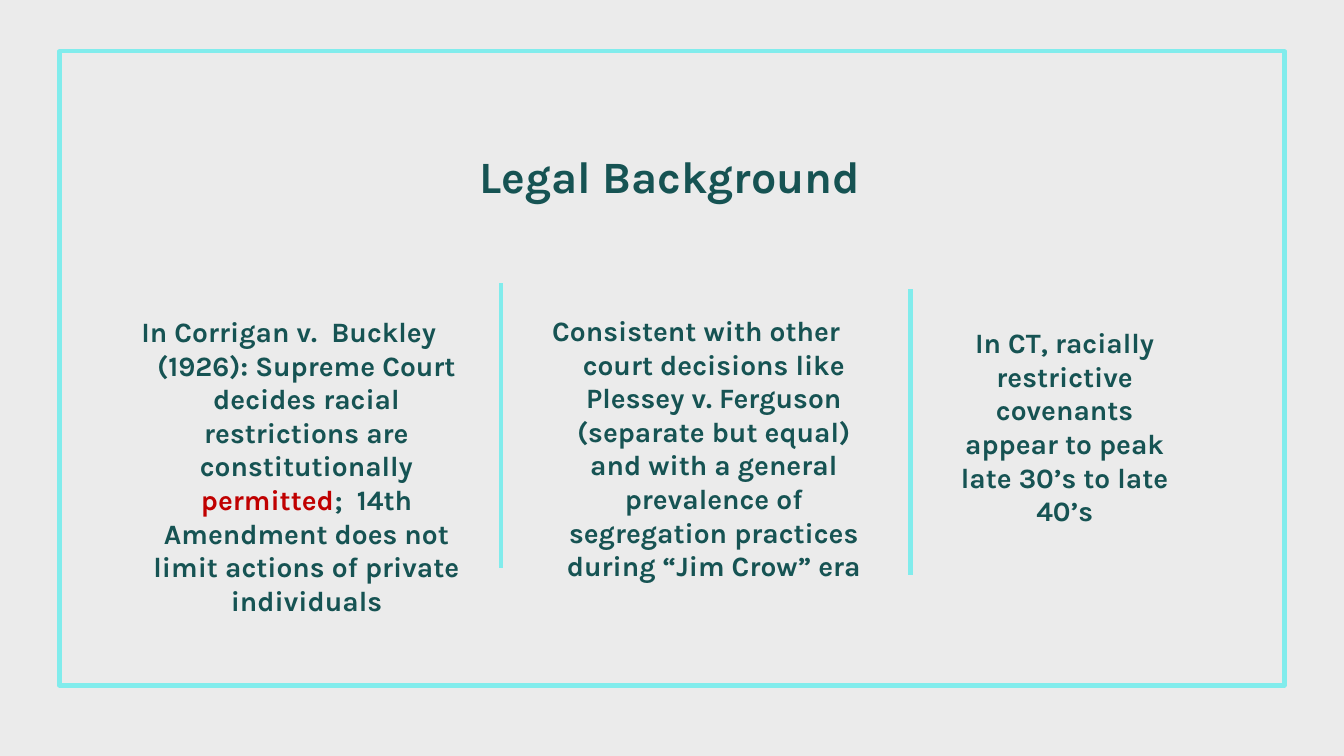
from pptx import Presentation
from pptx.dml.color import RGBColor
from pptx.enum.shapes import MSO_CONNECTOR, MSO_SHAPE
from pptx.enum.text import MSO_ANCHOR, MSO_AUTO_SIZE, PP_ALIGN
from pptx.oxml.ns import qn
from pptx.util import Inches, Pt

STRAIGHT = MSO_CONNECTOR.STRAIGHT
RECTANGLE = MSO_SHAPE.RECTANGLE
TOP = MSO_ANCHOR.TOP
CENTER = PP_ALIGN.CENTER
NO_AUTOFIT = MSO_AUTO_SIZE.NONE
COMPARISON_LAYOUT = 4

# Content: each run is (text, colour key)
TITLE = [("Legal Background", "ink")]
COLUMNS = [
    {"runs": [("In Corrigan v.  Buckley (1926): Supreme Court decides racial "
               "restrictions are constitutionally ", "ink"),
              ("permitted", "alert"),
              (";  14th Amendment does not limit actions of private individuals", "ink")],
     "box": (0.72, 2.99, 4.14, 2.26), "first_line": -0.35},
    {"runs": [("Consistent with other court decisions like Plessey v. Ferguson "
               "(separate but equal) and with a general prevalence of segregation "
               "practices during “Jim Crow” era", "ink")],
     "box": (4.89, 2.98, 3.88, 2.26), "first_line": -0.35},
    {"runs": [("In CT, racially restrictive covenants appear to peak late 30’s "
               "to late 40’s", "ink")],
     "box": (8.83, 3.1, 2.96, 2.26), "first_line": 0},
]
TITLE_BOX = (-0.02, 1.35, 13.33, 0.7)
FRAME_BOX = (0.59, 0.51, 12.15, 6.29)
DIVIDER_TOPS = [(4.97, 2.81), (9.03, 2.87)]
DIVIDER_LENGTH = 2.83
TEXT_MARGIN = 0.13
COLUMN_INDENT = 0.5

THEME = {
    "font": "Karla", "title_size": 32, "body_size": 20, "line_width": 3,
    "background": RGBColor(0xEB, 0xEB, 0xEB), "accent": RGBColor(0x81, 0xEC, 0xEC),
    "ink": RGBColor(0x16, 0x53, 0x53), "alert": RGBColor(0xC0, 0x00, 0x00),
}


def set_all(target, values):
    for attribute, value in values.items():
        setattr(target, attribute, value)


def fill_placeholder(placeholder, box, runs, size):
    """Place a placeholder, write its single paragraph and return that paragraph."""
    set_all(placeholder, dict(zip(("left", "top", "width", "height"), map(Inches, box))))
    frame = placeholder.text_frame
    set_all(frame, {"word_wrap": True, "auto_size": NO_AUTOFIT, "vertical_anchor": TOP})
    set_all(frame, {f"margin_{side}": Inches(TEXT_MARGIN)
                    for side in ("left", "top", "right", "bottom")})
    paragraph = frame.paragraphs[0]
    set_all(paragraph, {"alignment": CENTER, "space_before": Pt(0), "line_spacing": 1.0})
    for text, colour in runs:
        run = paragraph.add_run()
        run.text = text
        set_all(run.font, {"name": THEME["font"], "size": Pt(size), "bold": True})
        run.font.color.rgb = THEME[colour]
    return paragraph


def style_line(line):
    line.color.rgb = THEME["accent"]
    line.width = Pt(THEME["line_width"])


def main():
    presentation = Presentation()
    set_all(presentation, {"slide_width": Inches(13.33), "slide_height": Inches(7.5)})
    slide = presentation.slides.add_slide(presentation.slide_layouts[COMPARISON_LAYOUT])
    slide.background.fill.solid()
    slide.background.fill.fore_color.rgb = THEME["background"]

    # Title
    fill_placeholder(slide.shapes.title, TITLE_BOX, TITLE, THEME["title_size"])

    # Three text columns in the body placeholders
    bodies = [p for p in slide.placeholders if p.placeholder_format.idx in (1, 2, 3)]
    for body, column in zip(bodies, COLUMNS):
        paragraph = fill_placeholder(body, column["box"], column["runs"], THEME["body_size"])
        properties = paragraph._p.get_or_add_pPr()
        properties.set("marL", str(Inches(COLUMN_INDENT)))
        properties.set("indent", str(Inches(column["first_line"])))
        properties.append(properties.makeelement(qn("a:buNone"), {}))

    # Remove unused placeholders
    for placeholder in list(slide.placeholders):
        if not placeholder.text_frame.text:
            placeholder.element.getparent().remove(placeholder.element)

    # Frame
    border = slide.shapes.add_shape(RECTANGLE, *map(Inches, FRAME_BOX))
    border.shadow.inherit = False
    border.fill.background()
    style_line(border.line)

    # Dividers between the columns
    for x, top in DIVIDER_TOPS:
        ends = map(Inches, (x, top, x, top + DIVIDER_LENGTH))
        divider = slide.shapes.add_connector(STRAIGHT, *ends)
        style_line(divider.line)
        shape_properties = divider.element.spPr
        shape_properties.append(shape_properties.makeelement(qn("a:effectLst"), {}))

    presentation.save("out.pptx")


if __name__ == "__main__":
    main()
